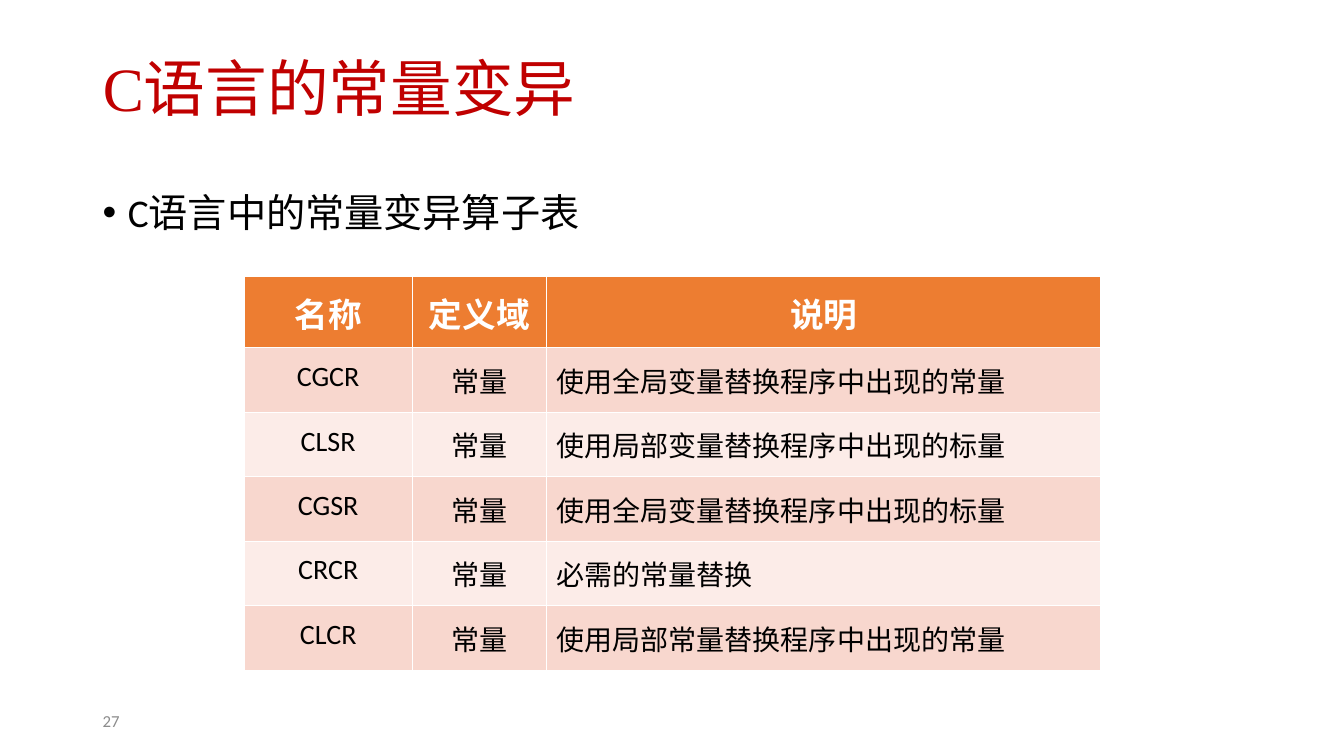
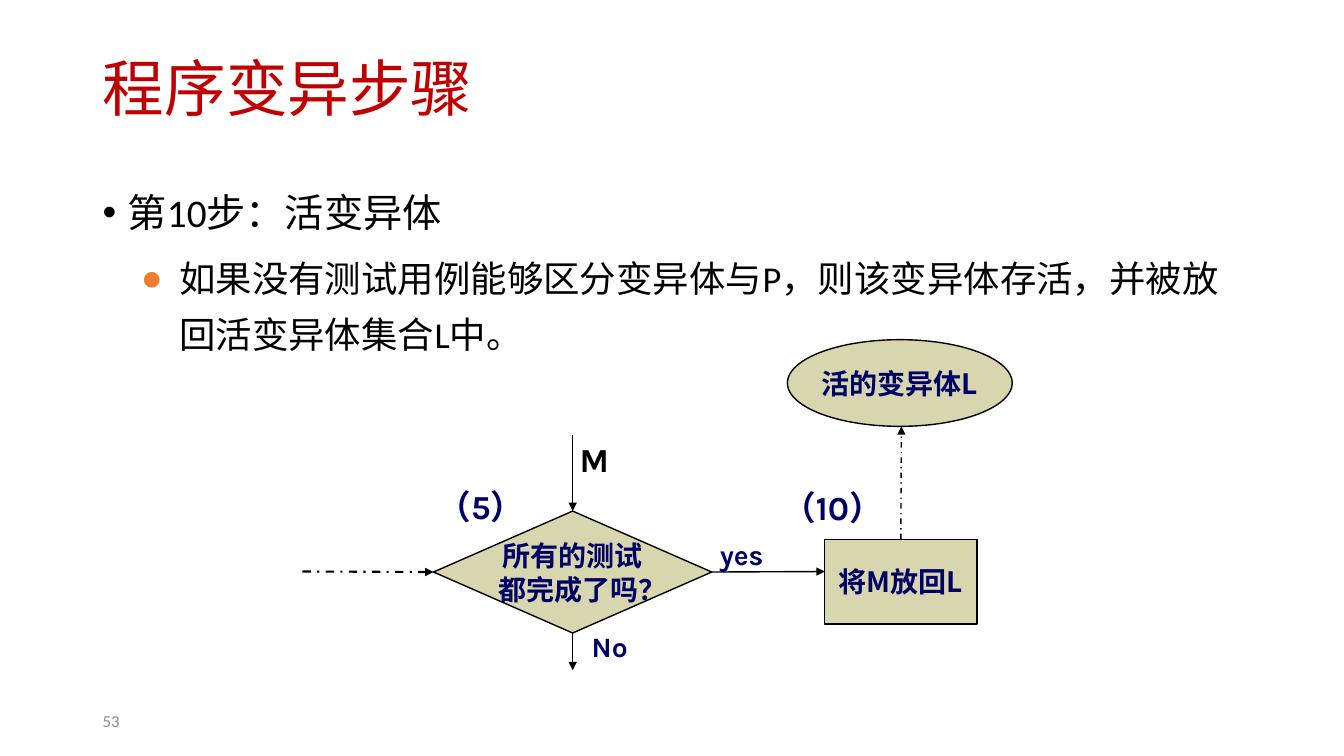
"""Build two slides on program mutation: a constant operator table and a flow step."""
from dataclasses import dataclass

from lxml.etree import SubElement
from pptx import Presentation
from pptx.dml.color import RGBColor
from pptx.enum.dml import MSO_LINE
from pptx.enum.lang import MSO_LANGUAGE_ID
from pptx.enum.shapes import MSO_CONNECTOR, MSO_SHAPE
from pptx.enum.text import MSO_ANCHOR, PP_ALIGN
from pptx.oxml.ns import qn
from pptx.util import Inches, Pt


@dataclass(frozen=True)
class Theme:
    red: str = "C00000"
    black: str = "000000"
    white: str = "FFFFFF"
    gray: str = "8C8C8C"
    orange: str = "ED7D31"
    rose: str = "F8D7CE"
    blush: str = "FCECE8"
    navy: str = "000066"
    sand: str = "D7D6AE"
    body: str = "Calibri"
    serif: str = "Times New Roman"
    label: str = "Karla"
    asian: str = "Noto Sans CJK JP"
    title: int = 44
    lead: int = 28
    sub: int = 26
    head: int = 24
    cell: int = 20
    small: int = 12


T = Theme()


def write(frame, words, size=T.cell, color=T.black, font=T.body, asian=T.body, bold=False,
          align=PP_ALIGN.LEFT, space=None, before=None, left=0, hang=0, bullet=None,
          tint=None, more=False):
    par = frame.add_paragraph() if more else frame.paragraphs[0]
    par.alignment = align
    if space:
        par.line_spacing = space
    if before:
        par.space_before = Pt(before)
    props = par._p.get_or_add_pPr()
    if left:
        props.set("marL", str(Inches(left)))
        props.set("indent", str(Inches(-hang)))
    if bullet:
        if tint:
            SubElement(SubElement(props, qn("a:buClr")), qn("a:srgbClr"), val=tint)
        SubElement(props, qn("a:buFont"), typeface="Arial")
        SubElement(props, qn("a:buChar"), char=bullet)
    run = par.add_run()
    run.text = words
    run.font.size = Pt(size)
    run.font.bold = bold
    run.font.name = font
    run.font.color.rgb = RGBColor.from_string(color)
    run.font.language_id = MSO_LANGUAGE_ID.SIMPLIFIED_CHINESE
    SubElement(run._r.get_or_add_rPr(), qn("a:ea"), typeface=asian)


def place(slide, x, y, wide, high, anchor=MSO_ANCHOR.TOP):
    frame = slide.shapes.add_textbox(Inches(x), Inches(y), Inches(wide), Inches(high)).text_frame
    frame.word_wrap = True
    frame.vertical_anchor = anchor
    return frame


deck = Presentation()
deck.slide_width, deck.slide_height = Inches(13.33), Inches(7.5)

pages = []
for name, face, lead, num in (
    ("C语言的常量变异", T.serif, "C语言中的常量变异算子表", "27"),
    ("程序变异步骤", T.body, "第10步：活变异体", "53"),
):
    slide = deck.slides.add_slide(deck.slide_layouts[5])
    title = slide.shapes.title
    title.left, title.top = Inches(0.92), Inches(0.4)
    title.width, title.height = Inches(11.5), Inches(1.02)
    title.text_frame.vertical_anchor = MSO_ANCHOR.MIDDLE
    write(title.text_frame, name, size=T.title, color=T.red, font=face, space=0.9)
    body = place(slide, 0.92, 1.68, 11.5, 5.07)
    write(body, lead, size=T.lead, space=1.3, left=0.25, hang=0.25, bullet="•")
    foot = place(slide, 0.92, 6.95, 3, 0.4, MSO_ANCHOR.MIDDLE)
    write(foot, num, size=T.small, color=T.gray)
    pages.append((slide, body))

(first, _), (flow, body) = pages

rows = (
    ("名称", "定义域", "说明"),
    ("CGCR", "常量", "使用全局变量替换程序中出现的常量"),
    ("CLSR", "常量", "使用局部变量替换程序中出现的标量"),
    ("CGSR", "常量", "使用全局变量替换程序中出现的标量"),
    ("CRCR", "常量", "必需的常量替换"),
    ("CLCR", "常量", "使用局部常量替换程序中出现的常量"),
)
table = first.shapes.add_table(
    len(rows), 3, Inches(2.42), Inches(2.74), Inches(8.5), Inches(3.91)).table
table.horz_banding = False
for col, wide in zip(table.columns, (1.67, 1.33, 5.5)):
    col.width = Inches(wide)
for i, row in enumerate(rows):
    top = i == 0
    table.rows[i].height = Inches(0.71 if top else 0.64)
    fill = T.orange if top else (T.blush, T.rose)[i % 2]
    for j, words in enumerate(row):
        cell = table.cell(i, j)
        cell.margin_top = cell.margin_bottom = Inches(0.12)
        cell.fill.solid()
        cell.fill.fore_color.rgb = RGBColor.from_string(fill)
        write(cell.text_frame, words, size=T.head if top else T.cell,
              color=T.white if top else T.black, bold=top, asian=T.asian,
              align=PP_ALIGN.CENTER if top or j < 2 else PP_ALIGN.LEFT)

write(body, "如果没有测试用例能够区分变异体与P，则该变异体存活，并被放回活变异体集合L中。",
      size=T.sub, space=1.3, before=5.2, left=0.76, hang=0.38, bullet="●",
      tint=T.orange, more=True)

nodes = []
for kind, x, y, wide, high, lines in (
    (MSO_SHAPE.OVAL, 7.81, 3.37, 2.23, 0.86, ("活的变异体L",)),
    (MSO_SHAPE.FLOWCHART_DECISION, 4.3, 5.07, 2.76, 1.21, ("所有的测试", "都完成了吗？")),
    (MSO_SHAPE.FLOWCHART_PROCESS, 8.18, 5.35, 1.51, 0.84, ("将M放回L",)),
):
    node = flow.shapes.add_shape(kind, Inches(x), Inches(y), Inches(wide), Inches(high))
    node.shadow.inherit = False
    node.fill.solid()
    node.fill.fore_color.rgb = RGBColor.from_string(T.sand)
    node.line.color.rgb = RGBColor.from_string(T.black)
    node.line.width = Pt(1)
    node.text_frame.word_wrap = False
    node.text_frame.vertical_anchor = MSO_ANCHOR.MIDDLE
    for i, words in enumerate(lines):
        write(node.text_frame, words, color=T.navy, font=T.asian, bold=True,
              align=PP_ALIGN.CENTER, left=0.2 * i, more=i > 0)
    nodes.append(node)
_, test, back = nodes

for x1, y1, x2, y2, width, dash, start, end in (
    (3, 5.67, 4.3, 5.67, 1.5, True, None, (test, 1)),
    (7.06, 5.67, 8.18, 5.67, 1, False, (test, 3), None),
    (5.68, 6.28, 5.68, 6.65, 1, False, (test, 2), None),
    (8.94, 5.35, 8.94, 4.23, 1, True, (back, 0), None),
    (5.68, 4.32, 5.68, 5.07, 1, False, None, (test, 0)),
):
    line = flow.shapes.add_connector(
        MSO_CONNECTOR.STRAIGHT, Inches(x1), Inches(y1), Inches(x2), Inches(y2))
    if start:
        line.begin_connect(*start)
    if end:
        line.end_connect(*end)
    line.line.color.rgb = RGBColor.from_string(T.black)
    line.line.width = Pt(width)
    if dash:
        line.line.dash_style = MSO_LINE.DASH_DOT
    SubElement(line.line._get_or_add_ln(), qn("a:tailEnd"), type="triangle")
    SubElement(line._element.spPr, qn("a:effectLst"))

for words, x, y, wide, high, size, color in (
    ("（5）", 4.24, 4.77, 1.42, 0.5, T.head, T.navy),
    ("（10）", 7.66, 4.78, 1.51, 0.5, T.head, T.navy),
    ("No", 5.77, 6.2, 0.98, 0.44, T.cell, T.navy),
    ("yes", 7.04, 5.28, 0.98, 0.44, T.cell, T.navy),
    ("M", 5.65, 4.31, 1.18, 0.5, T.head, T.black),
):
    write(place(flow, x, y, wide, high), words, size=size, color=color, font=T.label, bold=True)

deck.save("out.pptx")
